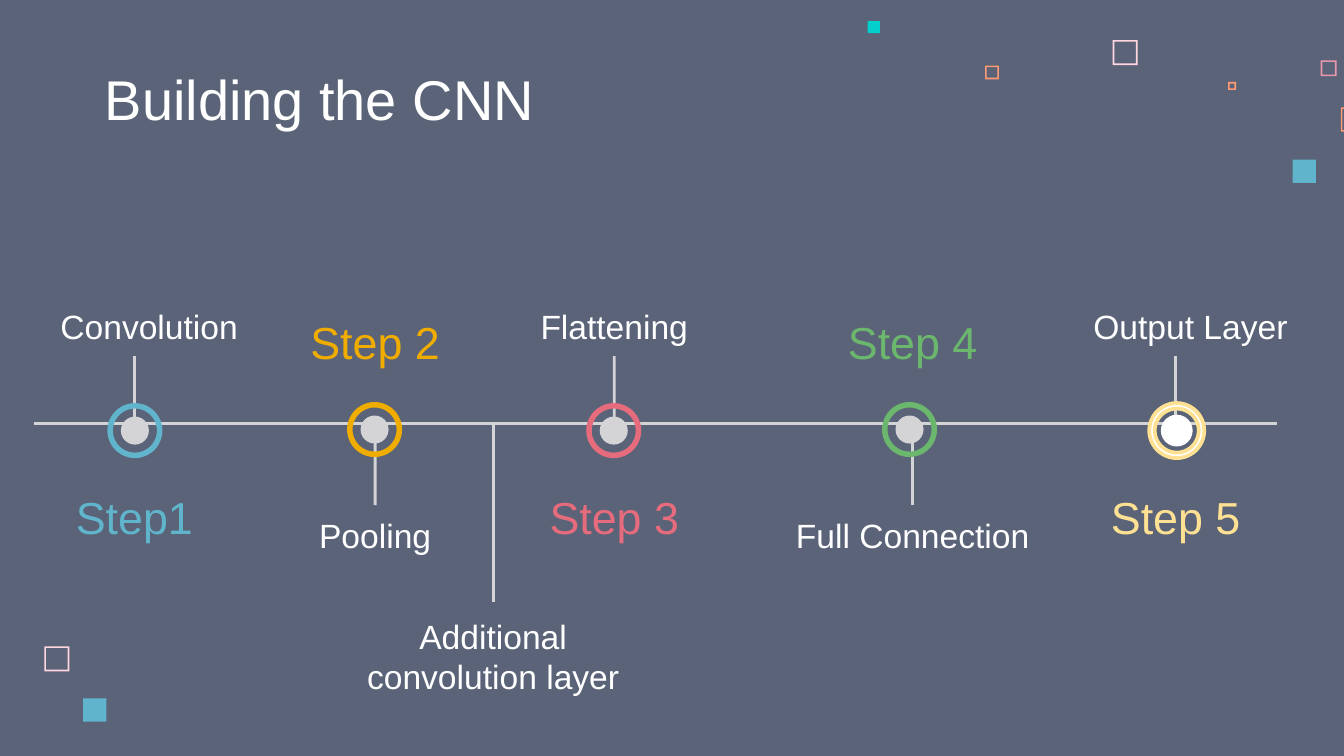
from dataclasses import dataclass

from lxml.etree import SubElement
from pptx import Presentation
from pptx.dml.color import RGBColor
from pptx.enum.shapes import MSO_CONNECTOR, MSO_SHAPE
from pptx.enum.text import MSO_ANCHOR, MSO_AUTO_SIZE, PP_ALIGN
from pptx.oxml.ns import qn
from pptx.util import Cm, Pt


@dataclass(frozen=True)
class Theme:
    """Colours, type sizes and font of the slide."""
    background: str = "5A6378"
    text: str = "FFFFFF"
    line: str = "D4D4D6"
    blue: str = "60B5CC"
    gold: str = "F0AD00"
    red: str = "E66C7D"
    green: str = "6BB76D"
    yellow: str = "FFE193"
    pink: str = "FFD6E1"
    rose: str = "E898AC"
    orange: str = "FF9973"
    teal: str = "00CFCC"
    font: str = "Arial"
    title: int = 30
    step: int = 24
    caption: int = 18


@dataclass(frozen=True)
class Step:
    """One stop on the timeline, with the centres of its parts in cm."""
    name: str
    caption: str
    colour: str
    ring: float
    stem: float
    label: float
    above: bool


THEME = Theme()
AXIS = 8.0
STEM_TOP, STEM_BOTTOM = 6.73, 9.55
STEPS = (
    Step("Step1", "Convolution", THEME.blue, 2.55, 2.54, 2.82, True),
    Step("Step 2", "Pooling", THEME.gold, 7.08, 7.09, 7.09, False),
    Step("Step 3", "Flattening", THEME.red, 11.6, 11.61, 11.61, True),
    Step("Step 4", "Full Connection", THEME.green, 17.19, 17.25, 17.25, False),
    Step("Step 5", "Output Layer", THEME.yellow, 22.24, 22.22, 22.5, True),
)
SQUARES = (
    (21.03, 0.76, 0.47, THEME.pink, False),
    (24.96, 1.14, 0.3, THEME.rose, False),
    (23.21, 1.55, 0.15, THEME.orange, False),
    (25.34, 2.03, 0.46, THEME.orange, False),
    (24.43, 3.02, 0.44, THEME.blue, True),
    (18.62, 1.24, 0.26, THEME.orange, False),
    (16.4, 0.4, 0.23, THEME.teal, True),
    (0.84, 12.22, 0.47, THEME.pink, False),
    (1.57, 13.2, 0.44, THEME.blue, True),
)


def apply_format(target, values):
    """Set each attribute in values on the target."""
    for name, value in values.items():
        setattr(target, name, value)


def write_text(box, text, size, colour, anchor, align=PP_ALIGN.CENTER):
    """Write one formatted paragraph into a box."""
    frame = box.text_frame
    margins = {f"margin_{side}": Cm(0.25) for side in ("left", "top", "right", "bottom")}
    apply_format(frame, {"word_wrap": True, "auto_size": MSO_AUTO_SIZE.NONE,
                         "vertical_anchor": anchor, **margins})
    para = frame.paragraphs[0]
    para.alignment = align
    span = para.add_run()
    span.text = text
    apply_format(span.font, {"name": THEME.font, "size": Pt(size)})
    span.font.color.rgb = RGBColor.from_string(colour)


def add_label(page, text, centre, top, width, height, size, colour, anchor):
    """Add a text box centred on a horizontal position."""
    box = page.shapes.add_textbox(Cm(centre - width / 2), Cm(top), Cm(width), Cm(height))
    write_text(box, text, size, colour, anchor)
    return box


def add_line(page, start, end):
    """Add a straight line between two points."""
    line = page.shapes.add_connector(MSO_CONNECTOR.STRAIGHT, *map(Cm, start + end))
    line.line.width = Pt(1.5)
    line.line.color.rgb = RGBColor.from_string(THEME.line)
    SubElement(line._element.spPr, qn("a:effectLst"))
    return line


def add_figure(page, kind, left, top, size, fill, outline=None, adjustment=None):
    """Add a square-framed preset shape."""
    figure = page.shapes.add_shape(kind, Cm(left), Cm(top), Cm(size), Cm(size))
    figure.shadow.inherit = False
    figure.fill.solid()
    figure.fill.fore_color.rgb = RGBColor.from_string(fill)
    if outline:
        figure.line.width = Pt(2)
        figure.line.color.rgb = RGBColor.from_string(outline)
    else:
        figure.line.fill.background()
    if adjustment is not None:
        figure.adjustments[0] = adjustment


def add_square(page, left, top, size, colour, solid):
    """Add a decorative square, solid or hollow."""
    if solid:
        add_figure(page, MSO_SHAPE.RECTANGLE, left, top, size, colour)
    else:
        add_figure(page, MSO_SHAPE.FRAME, left, top, size, colour, adjustment=0.03 / size)


def add_marker(page, step, final):
    """Add the dot and ring of a step, outlined for the final one."""
    middle = 8.14 if step.above else 8.12
    dot_fill, dot_outline = (THEME.text, THEME.text) if final else (THEME.line, None)
    ring_fill, ring_outline = (THEME.text, step.colour) if final else (step.colour, None)
    for kind, size, fill, outline, adjustment in (
            (MSO_SHAPE.OVAL, 0.53, dot_fill, dot_outline, None),
            (MSO_SHAPE.DONUT, 1.04, ring_fill, ring_outline, 0.1)):
        add_figure(page, kind, step.ring - size / 2, middle - size / 2, size,
                   fill, outline, adjustment)


def add_step(page, step, final):
    """Add the caption, stem, marker and name of a step."""
    if step.above:
        caption_top, name_top, anchor = STEM_TOP - 1.19, 9.17, MSO_ANCHOR.TOP
        outer, inner, side = STEM_TOP, 7.98, 2
    else:
        caption_top, name_top, anchor = STEM_BOTTOM, 5.87, MSO_ANCHOR.BOTTOM
        outer, inner, side = STEM_BOTTOM, 8.28, 0
    caption = add_label(page, step.caption, step.label, caption_top, 5.23, 1.19,
                        THEME.caption, THEME.text, anchor)
    stem = add_line(page, (step.stem, outer), (step.stem, inner))
    if step.stem == step.label:
        stem.begin_connect(caption, side)
    add_marker(page, step, final)
    add_label(page, step.name, step.stem, name_top, 3.58, 1.19,
              THEME.step, step.colour, MSO_ANCHOR.MIDDLE)


def add_branch(page):
    """Add the extra layer that hangs from the timeline."""
    centre, top = 9.32, 11.38
    box = add_label(page, "Additional convolution layer", centre, top, 5.51, 2.03,
                    THEME.caption, THEME.text, MSO_ANCHOR.BOTTOM)
    add_line(page, (centre, AXIS), (centre, top)).end_connect(box, 0)


def add_title(page, text):
    """Place and fill the title placeholder."""
    title = page.shapes.title
    apply_format(title, {"left": Cm(1.73), "top": Cm(1.14),
                         "width": Cm(13.13), "height": Cm(1.6)})
    write_text(title, text, THEME.title, THEME.text, MSO_ANCHOR.BOTTOM, PP_ALIGN.LEFT)


def main():
    """Build and save the slide."""
    deck = Presentation()
    apply_format(deck, {"slide_width": Cm(25.4), "slide_height": Cm(14.29)})
    page = deck.slides.add_slide(deck.slide_layouts[5])
    page.background.fill.solid()
    page.background.fill.fore_color.rgb = RGBColor.from_string(THEME.background)
    for square in SQUARES:
        add_square(page, *square)
    add_title(page, "Building the CNN")
    add_line(page, (0.64, AXIS), (24.13, AXIS))
    for step in STEPS:
        add_step(page, step, step is STEPS[-1])
    add_branch(page)
    deck.save("out.pptx")


if __name__ == "__main__":
    main()
